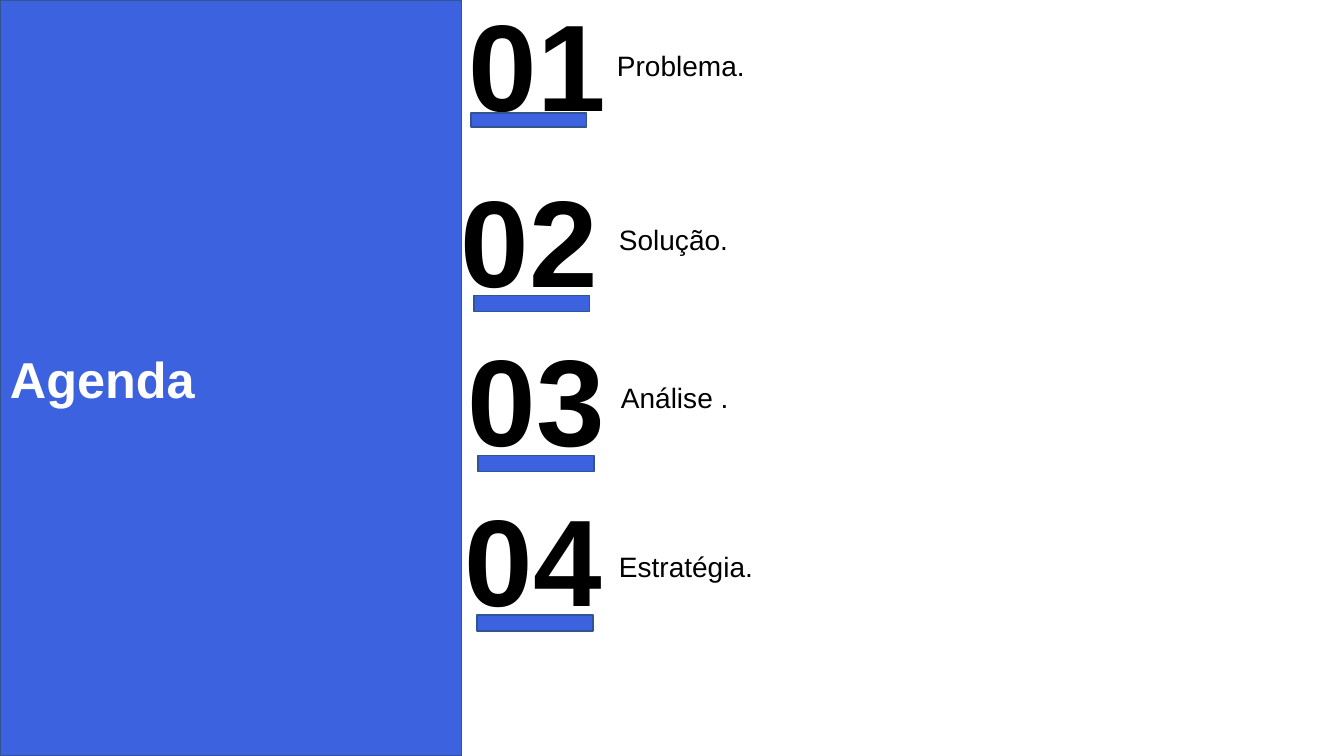
from pptx import Presentation
from pptx.dml.color import RGBColor
from pptx.enum.shapes import MSO_SHAPE
from pptx.enum.text import MSO_ANCHOR, PP_ALIGN
from pptx.util import Inches, Pt

COLORS = {"blue": "3C62E0", "edge": "325491", "white": "FFFFFF", "black": "000000"}

# number, its box, its bottom inset, bar box, topic, topic box
ITEMS = [
    ("01", (4.55, 0.3, 1.57, 1.33), 0.74, (4.67, 1.12, 1.15, 0.14),
     "Problema.", (6.02, 0.15, 4.75, 1.33)),
    ("02", (4.47, 1.67, 1.57, 1.73), 0.4, (4.7, 2.93, 1.15, 0.16),
     "Solução.", (6.04, 2.16, 1.77, 0.77)),
    ("03", (4.54, 2.98, 1.59, 2.59), 0.71, (4.74, 4.52, 1.15, 0.16),
     "Análise .", (6.06, 2.82, 4.75, 2.59)),
    ("04", (4.51, 4.56, 1.57, 2.59), 0.71, (4.73, 6.1, 1.15, 0.16),
     "Estratégia.", (6.04, 4.49, 4.75, 2.59)),
]
TOPIC_INSET = 0.39


def color(name):
    return RGBColor.from_string(COLORS[name])


def write(shape, text, size, tint, bold=False, align=PP_ALIGN.JUSTIFY):
    frame = shape.text_frame
    frame.text = text
    frame.word_wrap = True
    frame.vertical_anchor = MSO_ANCHOR.MIDDLE
    line = frame.paragraphs[0]
    line.alignment = align
    font = line.runs[0].font
    font.name = "Arial"
    font.size = Pt(size)
    font.bold = bold
    font.color.rgb = color(tint)


def add_block(slide, box):
    block = slide.shapes.add_shape(MSO_SHAPE.RECTANGLE, *map(Inches, box))
    block.shadow.inherit = False
    block.fill.solid()
    block.fill.fore_color.rgb = color("blue")
    block.line.color.rgb = color("edge")
    block.line.width = Pt(1)
    return block


def add_label(slide, box, inset, text, size, bold=False):
    """Add black text, raised above the middle of its box by the bottom inset."""
    label = slide.shapes.add_textbox(*map(Inches, box))
    write(label, text, size, "black", bold)
    label.text_frame.margin_bottom = Inches(inset)


def main():
    deck = Presentation()
    deck.slide_width, deck.slide_height = Inches(13.33), Inches(7.5)
    slide = deck.slides.add_slide(deck.slide_layouts[6])
    panel = add_block(slide, (0, 0, 4.58, 7.5))
    write(panel, "Agenda", 36, "white", True, PP_ALIGN.LEFT)
    for number, place, inset, bar, topic, spot in ITEMS:
        add_label(slide, place, inset, number, 88, True)
        add_block(slide, bar)
        add_label(slide, spot, TOPIC_INSET, topic, 20)
    deck.save("out.pptx")


if __name__ == "__main__":
    main()
